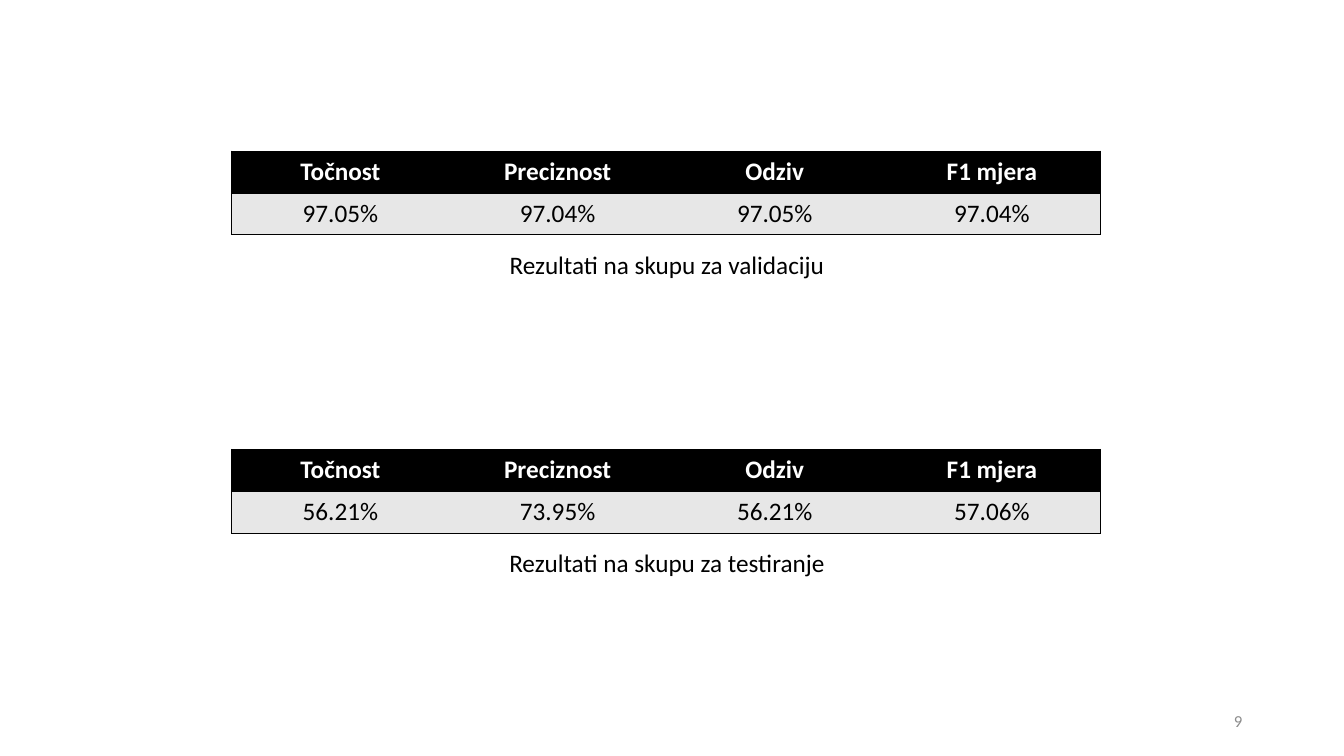
from lxml import etree
from pptx import Presentation
from pptx.dml.color import RGBColor
from pptx.enum.text import MSO_ANCHOR, PP_ALIGN
from pptx.oxml.ns import qn
from pptx.util import Inches, Pt

CENTER, RIGHT = PP_ALIGN.CENTER, PP_ALIGN.RIGHT
TOP, MIDDLE = MSO_ANCHOR.TOP, MSO_ANCHOR.MIDDLE

COLORS = {"ink": "000000", "paper": "FFFFFF", "band": "E7E7E7", "muted": "8C8C8C"}
METRICS = ["Točnost", "Preciznost", "Odziv", "F1 mjera"]
RESULTS = [
    (20, ["97.05%", "97.04%", "97.05%", "97.04%"], "Rezultati na skupu za validaciju"),
    (59.47, ["56.21%", "73.95%", "56.21%", "57.06%"], "Rezultati na skupu za testiranje"),
]
TABLE_LEFT, TABLE_WIDTH, ROW_HEIGHT = 17.25, 64.64, 5.53
CAPTION_LEFT, CAPTION_WIDTH, CAPTION_DROP = 31.96, 35.33, 12.33
LINE_HEIGHT = 5.33


class ResultsSlide:
    """Draws styled elements on one slide, with lengths in percent of its size."""

    font = "Calibri"
    size = 18

    def __init__(self, deck):
        self.width, self.height = deck.slide_width, deck.slide_height
        self.slide = deck.slides.add_slide(deck.slide_layouts[6])

    def box(self, left, top, width, height):
        return (round(left * self.width / 100), round(top * self.height / 100),
                round(width * self.width / 100), round(height * self.height / 100))

    def style_text(self, frame, words, color, align=CENTER, size=size, bold=False):
        frame.text = words
        paragraph = frame.paragraphs[0]
        paragraph.alignment = align
        font = paragraph.runs[0].font
        font.name, font.size, font.bold = self.font, Pt(size), bold
        font.color.rgb = RGBColor.from_string(COLORS[color])

    def text(self, place, words, color="ink", align=CENTER, size=size, anchor=TOP):
        frame = self.slide.shapes.add_textbox(*self.box(*place)).text_frame
        frame.word_wrap = True
        frame.vertical_anchor = anchor
        self.style_text(frame, words, color, align, size)

    def borders(self, cell, sides):
        properties = cell._tc.get_or_add_tcPr()
        for side in "LRTB":
            line = etree.SubElement(properties, qn(f"a:ln{side}"), w=str(Pt(1)))
            if side in sides:
                fill = etree.SubElement(line, qn("a:solidFill"))
                etree.SubElement(fill, qn("a:srgbClr"), val=COLORS["ink"])
            else:
                etree.SubElement(line, qn("a:noFill"))

    def table(self, place, rows):
        last = len(rows[0]) - 1
        grid = self.slide.shapes.add_table(len(rows), last + 1, *self.box(*place)).table
        grid.horz_banding = False
        for r, row in enumerate(rows):
            header = r == 0
            for c, words in enumerate(row):
                cell = grid.cell(r, c)
                self.borders(cell, "TB" + "L" * (c == 0) + "R" * (c == last))
                cell.fill.solid()
                cell.fill.fore_color.rgb = RGBColor.from_string(COLORS["ink" if header else "band"])
                self.style_text(cell.text_frame, words, "paper" if header else "ink", bold=header)


def main():
    deck = Presentation()
    deck.slide_width, deck.slide_height = Inches(13.33), Inches(7.5)
    page = ResultsSlide(deck)
    for top, scores, caption in RESULTS:
        page.table((TABLE_LEFT, top, TABLE_WIDTH, 2 * ROW_HEIGHT), [METRICS, scores])
        page.text((CAPTION_LEFT, top + CAPTION_DROP, CAPTION_WIDTH, LINE_HEIGHT), caption)
    page.text((70.67, 92.67, 22.5, LINE_HEIGHT), "9", "muted", RIGHT, 12, MIDDLE)
    deck.save("out.pptx")


if __name__ == "__main__":
    main()
